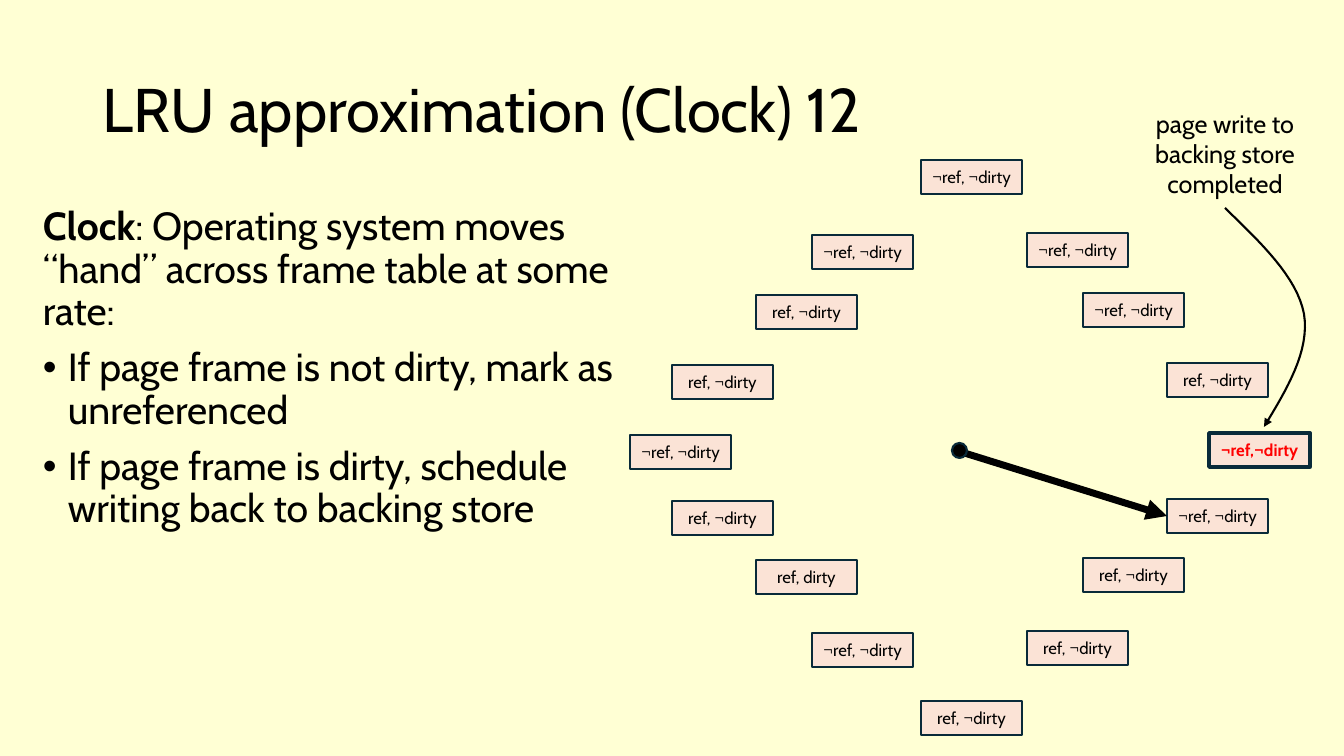
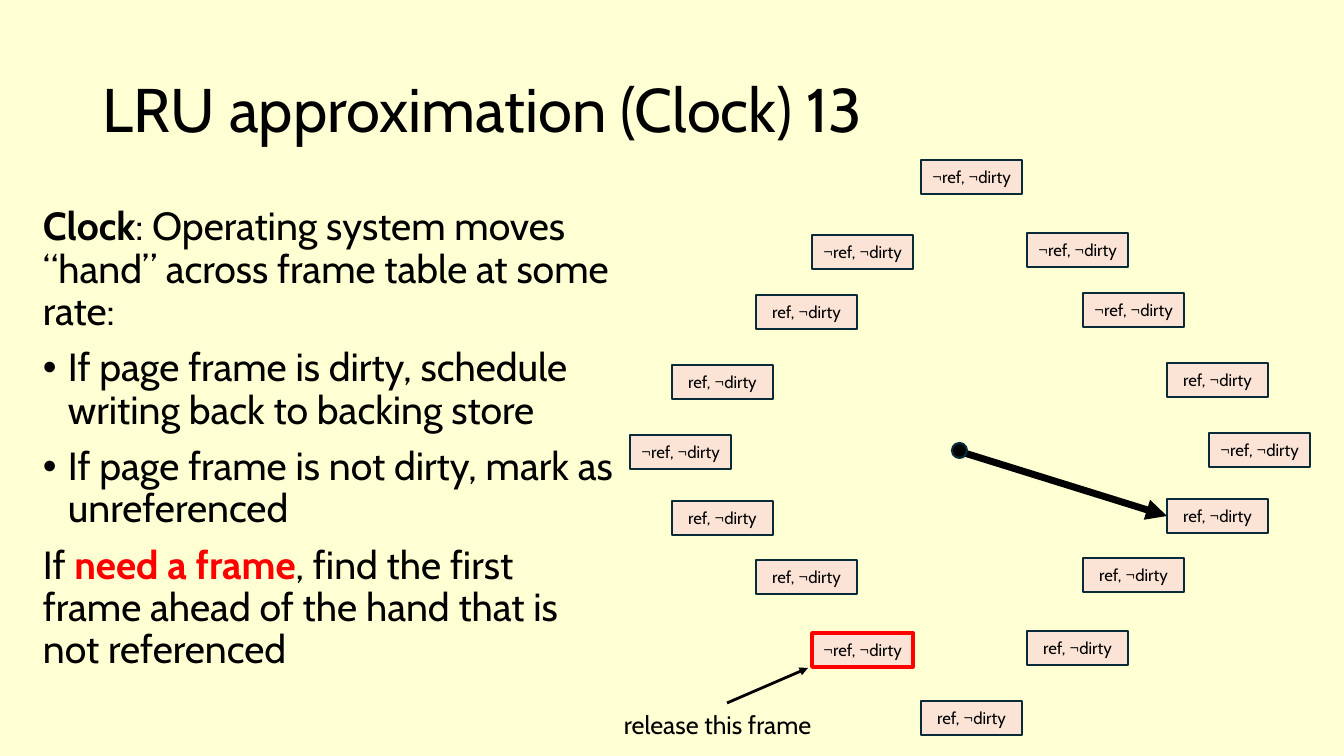
from lxml import etree
from pptx import Presentation
from pptx.dml.color import RGBColor
from pptx.enum.shapes import MSO_CONNECTOR, MSO_SHAPE
from pptx.enum.text import MSO_ANCHOR, PP_ALIGN
from pptx.oxml.ns import qn
from pptx.util import Pt

RECTANGLE, OVAL = MSO_SHAPE.RECTANGLE, MSO_SHAPE.OVAL
STRAIGHT = MSO_CONNECTOR.STRAIGHT
TOP, MIDDLE = MSO_ANCHOR.TOP, MSO_ANCHOR.MIDDLE
LEFT, CENTER = PP_ALIGN.LEFT, PP_ALIGN.CENTER

SLIDE_WIDTH, SLIDE_HEIGHT = 1344, 756
SCALE = 12192000 / SLIDE_WIDTH
FONT = "Cabin"
BACKGROUND, BLACK, RED = "FFFFD4", "000000", "FF0000"
FRAME_FILL, FRAME_EDGE = "FBE3D6", "092A39"

TITLE_AREA = (93, 40, 1159, 146)
BODY_AREA = (33, 202, 597, 480)
FRAME_WIDTH, FRAME_HEIGHT = 101, 34
TOP_FRAME, BOTTOM_FRAME = (921, 160), (921, 701)
LEFT_FRAMES = [(812, 235), (756, 295), (672, 365), (630, 435), (672, 501), (756, 560), (812, 633)]
MIRROR_SUM, RIGHT_LIFT = 1839, 2
HAND = ((958, 451), (1167, 516))
PIVOT = (952, 443, 15, 15)

CLEAN, USED, USED_DIRTY = "¬ref, ¬dirty", "ref, ¬dirty", "ref, dirty"
INTRO = (False, [("Clock", BLACK, True),
                 (": Operating system moves “hand” across frame table at some rate:", BLACK, False)])
NOT_DIRTY = (True, [("If page frame is not dirty, mark as unreferenced", BLACK, False)])
DIRTY = (True, [("If page frame is dirty, schedule writing back to backing store", BLACK, False)])
NEED = (False, [("If ", BLACK, False), ("need a frame", RED, True),
                (", find the first frame ahead of the hand that is not referenced", BLACK, False)])

SLIDES = [
    {
        "title": "LRU approximation (Clock) 12",
        "body": [INTRO, NOT_DIRTY, DIRTY],
        "frames": [CLEAN, CLEAN, CLEAN, USED, "¬ref,¬dirty", CLEAN, USED, USED, USED,
                   CLEAN, USED_DIRTY, USED, CLEAN, USED, USED, CLEAN],
        "marked": {4: (FRAME_EDGE, 2.5, RED, True)},
        "note": ("page write to backing store completed", (1132, 103, 186, 102), CENTER, True),
        "curve": [(1225, 208), (1261, 243), (1297, 277), (1304, 314),
                  (1310, 351), (1287, 389), (1264, 427)],
    },
    {
        "title": "LRU approximation (Clock) 13",
        "body": [INTRO, DIRTY, NOT_DIRTY, NEED],
        "frames": [CLEAN, CLEAN, CLEAN, USED, CLEAN, USED, USED, USED, USED,
                   CLEAN, USED, USED, CLEAN, USED, USED, CLEAN],
        "marked": {9: (RED, 2.5, BLACK, False)},
        "note": ("release this frame", (614, 704, 217, 40), LEFT, False),
        "arrow": ((727, 703), (808, 668)),
    },
]
PLAIN_FRAME = (FRAME_EDGE, 1.5, BLACK, False)


def px(value):
    return round(value * SCALE)


def lengths(values):
    return [px(value) for value in values]


def color(value):
    return RGBColor.from_string(value)


def add_run(para, text, size, ink=BLACK, bold=False):
    span = para.add_run()
    span.text = text
    span.font.name = FONT
    span.font.size = Pt(size)
    span.font.bold = bold
    span.font.color.rgb = color(ink)


def add_text_box(page, area, anchor=TOP, wrap=True):
    box = page.shapes.add_textbox(*lengths(area))
    box.text_frame.word_wrap = wrap
    box.text_frame.vertical_anchor = anchor
    return box.text_frame


def set_line(shape, ink, width, arrow=False):
    shape.line.color.rgb = color(ink)
    shape.line.width = Pt(width)
    if arrow:
        outline = shape.line._get_or_add_ln()
        etree.SubElement(outline, qn("a:tailEnd"), type="triangle")


def add_shape(page, kind, area, fill, edge, width):
    shape = page.shapes.add_shape(kind, *lengths(area))
    shape.shadow.inherit = False
    shape.fill.solid()
    shape.fill.fore_color.rgb = color(fill)
    set_line(shape, edge, width)
    return shape


def add_arrow(page, start, end, width):
    arrow = page.shapes.add_connector(STRAIGHT, *lengths(start + end))
    set_line(arrow, BLACK, width, arrow=True)
    etree.SubElement(arrow._element.spPr, qn("a:effectLst"))


def bezier_points(start, first, second, end, steps=16):
    for step in range(1, steps + 1):
        t = step / steps
        weights = ((1 - t) ** 3, 3 * t * (1 - t) ** 2, 3 * t * t * (1 - t), t ** 3)
        yield tuple(px(sum(w * point[axis] for w, point in zip(weights, (start, first, second, end))))
                    for axis in (0, 1))


def add_curve(page, nodes):
    builder = page.shapes.build_freeform(*lengths(nodes[0]))
    for index in range(0, len(nodes) - 1, 3):
        builder.add_line_segments(bezier_points(*nodes[index:index + 4]), close=False)
    curve = builder.convert_to_shape()
    curve.shadow.inherit = False
    curve.fill.background()
    set_line(curve, BLACK, 1.5, arrow=True)


def add_body(page, paragraphs):
    frame = add_text_box(page, BODY_AREA)
    for index, (bulleted, runs) in enumerate(paragraphs):
        para = frame.paragraphs[0] if index == 0 else frame.add_paragraph()
        para.line_spacing = 0.9
        para.space_before = Pt(10 if index else 0)
        if bulleted:
            settings = para._p.get_or_add_pPr()
            settings.set("marL", str(px(25)))
            settings.set("indent", str(-px(25)))
            etree.SubElement(settings, qn("a:buFont"), typeface="Arial")
            etree.SubElement(settings, qn("a:buChar"), char="•")
        for text, ink, bold in runs:
            add_run(para, text, 28, ink, bold)


def add_clock(page, labels, marked):
    right = [(MIRROR_SUM - x, y - RIGHT_LIFT) for x, y in LEFT_FRAMES]
    places = [TOP_FRAME, *right, BOTTOM_FRAME, *reversed(LEFT_FRAMES)]
    for index, (place, label) in enumerate(zip(places, labels)):
        edge, width, ink, bold = marked.get(index, PLAIN_FRAME)
        box = add_shape(page, RECTANGLE, (*place, FRAME_WIDTH, FRAME_HEIGHT), FRAME_FILL, edge, width)
        box.text_frame.word_wrap = True
        box.text_frame.vertical_anchor = MIDDLE
        para = box.text_frame.paragraphs[0]
        para.alignment = CENTER
        add_run(para, label, 12, ink, bold)
    add_arrow(page, *HAND, 5)
    add_shape(page, OVAL, PIVOT, BLACK, FRAME_EDGE, 1.5)


def add_page(deck, content):
    page = deck.slides.add_slide(deck.slide_layouts[6])
    page.background.fill.solid()
    page.background.fill.fore_color.rgb = color(BACKGROUND)
    title = add_text_box(page, TITLE_AREA, MIDDLE).paragraphs[0]
    title.line_spacing = 0.9
    add_run(title, content["title"], 44)
    add_body(page, content["body"])
    add_clock(page, content["frames"], content["marked"])
    text, area, alignment, wrap = content["note"]
    note = add_text_box(page, area, wrap=wrap).paragraphs[0]
    note.alignment = alignment
    add_run(note, text, 18)
    if "curve" in content:
        add_curve(page, content["curve"])
    if "arrow" in content:
        add_arrow(page, *content["arrow"], 2)


def main():
    deck = Presentation()
    deck.slide_width, deck.slide_height = lengths((SLIDE_WIDTH, SLIDE_HEIGHT))
    for content in SLIDES:
        add_page(deck, content)
    deck.save("out.pptx")


if __name__ == "__main__":
    main()
